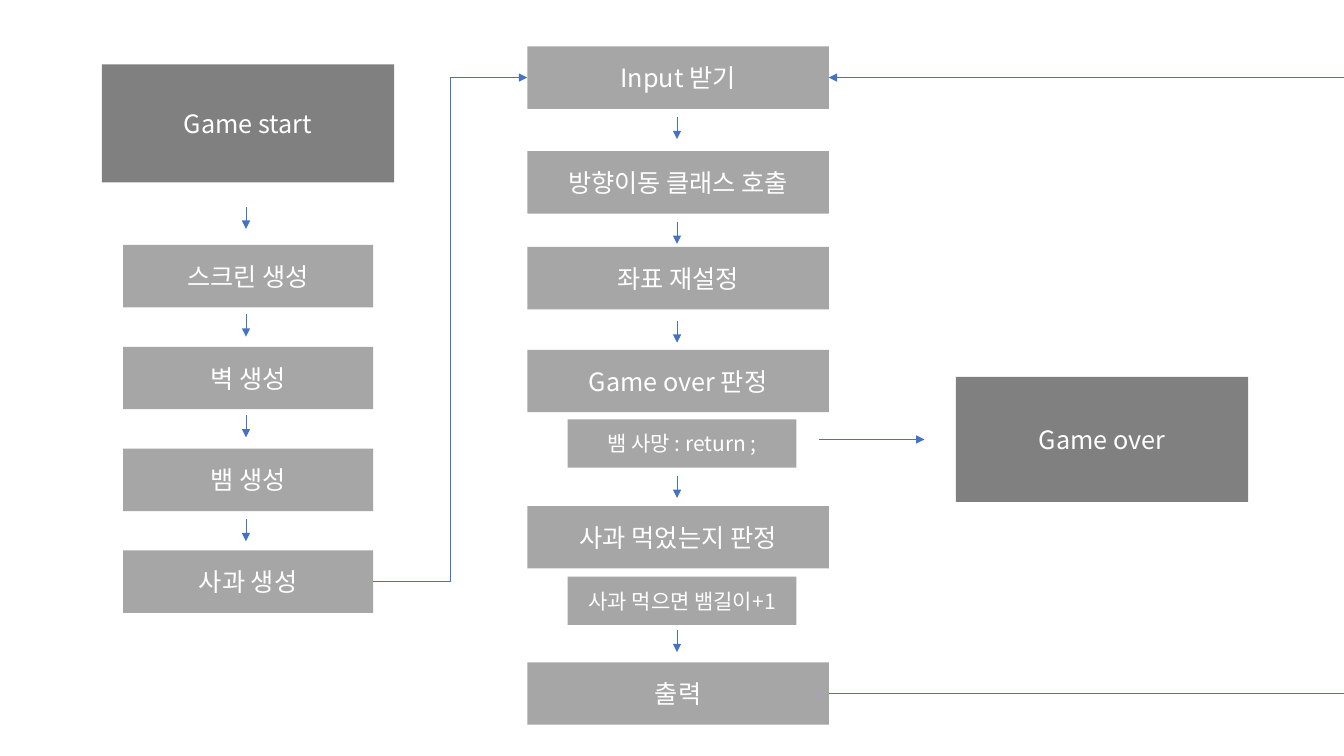
from lxml import etree
from pptx import Presentation
from pptx.dml.color import RGBColor
from pptx.enum.shapes import MSO_CONNECTOR, MSO_SHAPE
from pptx.enum.text import MSO_ANCHOR, PP_ALIGN
from pptx.oxml.ns import qn
from pptx.util import Inches, Pt

RECTANGLE = MSO_SHAPE.RECTANGLE
STRAIGHT = MSO_CONNECTOR.STRAIGHT
ELBOW = MSO_CONNECTOR.ELBOW
MIDDLE = MSO_ANCHOR.MIDDLE
CENTER = PP_ALIGN.CENTER

DARK_GRAY = RGBColor(0x80, 0x80, 0x80)
LIGHT_GRAY = RGBColor(0xA6, 0xA6, 0xA6)
WHITE = RGBColor(0xFF, 0xFF, 0xFF)
BLUE = RGBColor(0x44, 0x72, 0xC4)
FONT = "Noto Sans CJK KR"

SLIDE_WIDTH, SLIDE_HEIGHT = 13.33, 7.5
STEP_HEIGHT = 0.62
NOTE_HEIGHT = 0.48
NOTE_INSET = 0.36
ARROW_LENGTH = 0.22
LEFT_SIDE, RIGHT_SIDE = 1, 3

SETUP_STEPS = ["스크린 생성", "벽 생성", "뱀 생성", "사과 생성"]
SETUP_PITCH = 1.01
SETUP_ARROWS = [2.05, 3.12, 4.12, 5.15]

LOOP_STEPS = [
    ("Input 받기", 0.46),
    ("방향이동 클래스 호출", 1.5),
    ("좌표 재설정", 2.45),
    ("Game over 판정", 3.47),
    ("사과 먹었는지 판정", 5.02),
    ("출력", 6.57),
]
LOOP_NOTES = [("뱀 사망 : return ;", 4.16), ("사과 먹으면 뱀길이+1", 5.72)]
LOOP_ARROWS = [1.16, 2.2, 3.18, 4.72, 6.25]


def add_box(slide, text, left, top, width, height, fill=LIGHT_GRAY, size=18):
    box = slide.shapes.add_shape(
        RECTANGLE, Inches(left), Inches(top), Inches(width), Inches(height))
    box.shadow.inherit = False
    box.fill.solid()
    box.fill.fore_color.rgb = fill
    box.line.fill.background()
    frame = box.text_frame
    frame.text = text
    frame.word_wrap = True
    frame.vertical_anchor = MIDDLE
    paragraph = frame.paragraphs[0]
    paragraph.alignment = CENTER
    for run in paragraph.runs:
        run.font.name = FONT
        run.font.size = Pt(size)
        run.font.color.rgb = WHITE
        east_asian = etree.SubElement(run.font._element, qn("a:ea"))
        east_asian.set("typeface", FONT)
    return box


def add_line(slide, start, end, kind=STRAIGHT, arrowhead=True):
    line = slide.shapes.add_connector(
        kind, *(Inches(value) for value in (*start, *end)))
    line.line.color.rgb = BLUE
    line.line.width = Pt(0.5)
    if arrowhead:
        tail = etree.SubElement(line.line._get_or_add_ln(), qn("a:tailEnd"))
        tail.set("type", "triangle")
    etree.SubElement(line._element.spPr, qn("a:effectLst"))
    return line


def add_down_arrows(slide, center, tops):
    for top in tops:
        add_line(slide, (center, top), (center, top + ARROW_LENGTH))


def add_setup(slide, left, top, width):
    """Place the start box and the setup steps; return the last step."""
    add_box(slide, "Game start", left, top, width, 1.17, DARK_GRAY)
    inset = 0.21
    for index, text in enumerate(SETUP_STEPS):
        step = add_box(slide, text, left + inset, top + 1.79 + index * SETUP_PITCH,
                       width - 2 * inset, STEP_HEIGHT)
    add_down_arrows(slide, left + width / 2 - 0.02, SETUP_ARROWS)
    return step


def add_loop(slide, left, width):
    """Place the game loop column; return its first and last steps."""
    steps = [add_box(slide, text, left, top, width, STEP_HEIGHT)
             for text, top in LOOP_STEPS]
    for text, top in LOOP_NOTES:
        add_box(slide, text, left + 0.4, top, width - 2 * NOTE_INSET,
                NOTE_HEIGHT, size=15)
    add_down_arrows(slide, left + width / 2 - 0.01, LOOP_ARROWS)
    return steps[0], steps[-1]


def add_game_over(slide, left, top, width, height):
    add_box(slide, "Game over", left, top, width, height, DARK_GRAY)
    middle = top + height / 2
    add_line(slide, (left - 1.36, middle), (left - 0.31, middle))


def add_links(slide, last_setup, first_step, last_step):
    """Lead the setup into the loop, and the loop's end back to its start."""
    entry = add_line(slide, (3.7, 5.77), (5.23, 0.77), ELBOW)
    entry.begin_connect(last_setup, RIGHT_SIDE)
    entry.end_connect(first_step, LEFT_SIDE)
    leaving = add_line(slide, (8.22, 6.88), (SLIDE_WIDTH, 6.88), arrowhead=False)
    leaving.begin_connect(last_step, RIGHT_SIDE)
    returning = add_line(slide, (SLIDE_WIDTH, 0.77), (8.22, 0.77))
    returning.end_connect(first_step, RIGHT_SIDE)


def main():
    presentation = Presentation()
    presentation.slide_width = Inches(SLIDE_WIDTH)
    presentation.slide_height = Inches(SLIDE_HEIGHT)
    slide = presentation.slides.add_slide(presentation.slide_layouts[6])
    last_setup = add_setup(slide, 1.01, 0.64, 2.9)
    first_step, last_step = add_loop(slide, 5.23, 2.99)
    add_game_over(slide, 9.48, 3.74, 2.9, 1.24)
    add_links(slide, last_setup, first_step, last_step)
    presentation.save("out.pptx")


if __name__ == "__main__":
    main()
